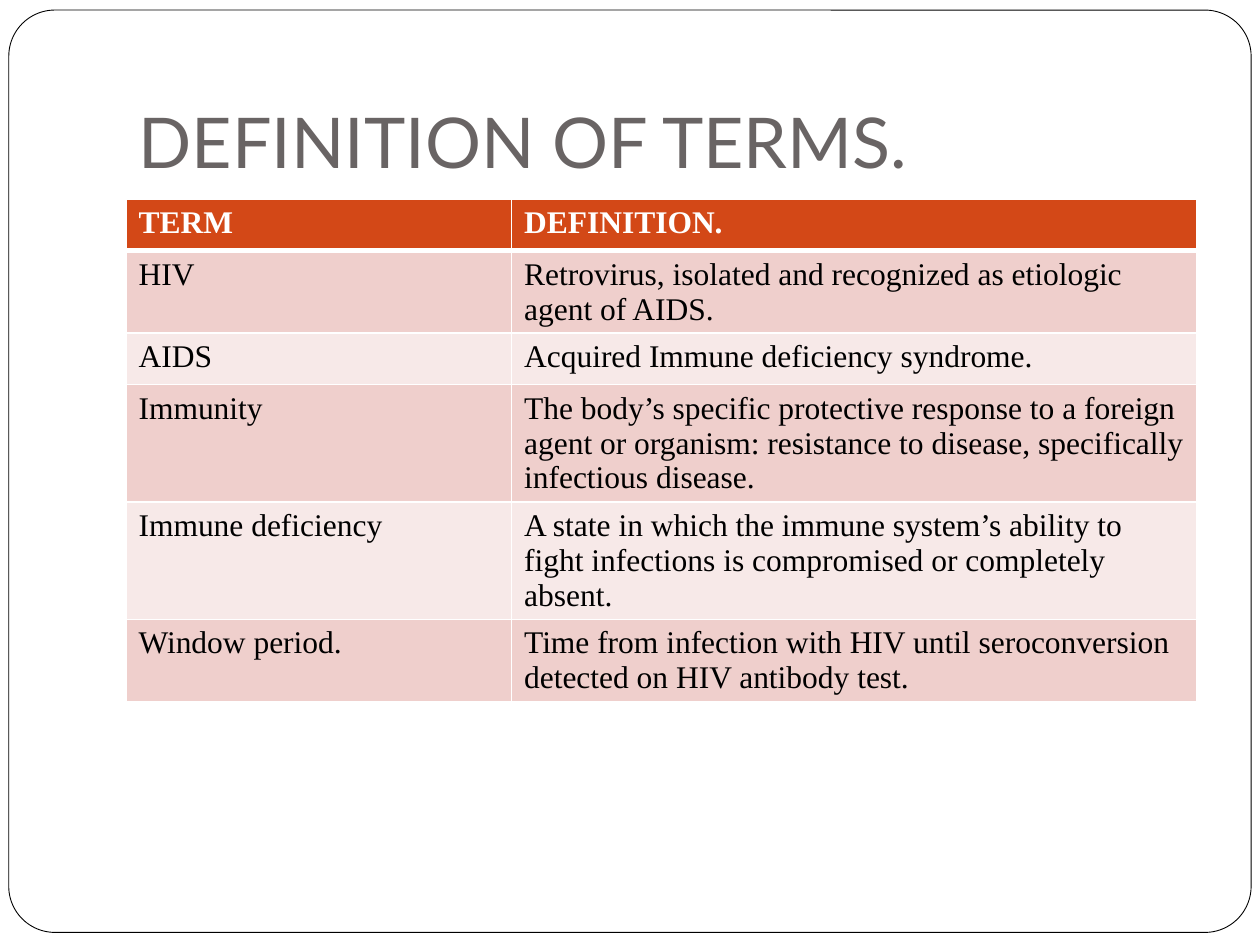
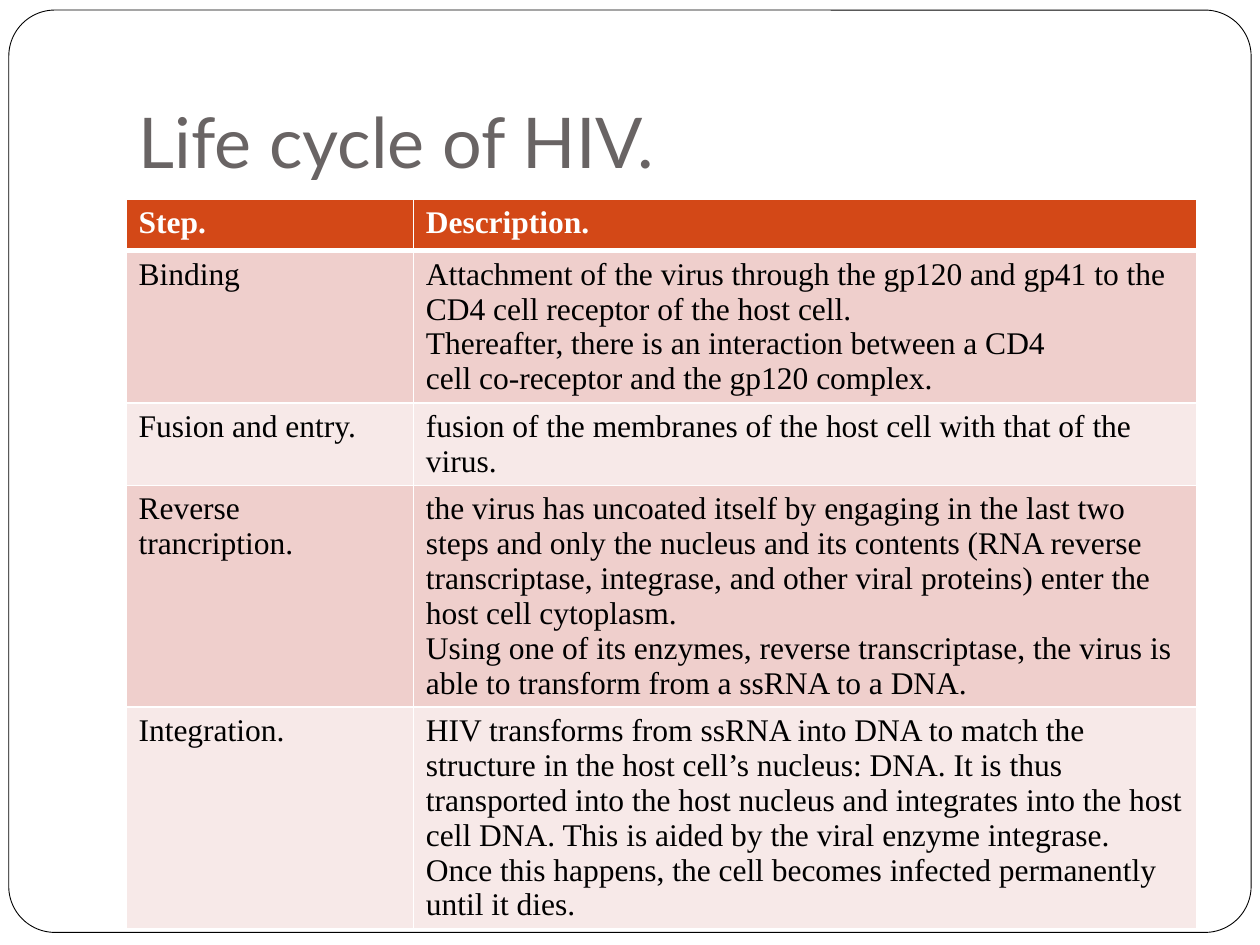
from pptx import Presentation
from pptx.dml.color import RGBColor
from pptx.enum.shapes import MSO_SHAPE
from pptx.enum.text import MSO_ANCHOR, MSO_AUTO_SIZE, PP_ALIGN
from pptx.oxml import parse_xml
from pptx.oxml.ns import nsdecls
from pptx.util import Inches, Pt

# Content: each cell is a text, or a list of paragraphs
SLIDES = [
    {
        "title": "DEFINITION OF TERMS.",
        "split": 3.06,
        "rows": [
            ("TERM", "DEFINITION."),
            ("HIV", "Retrovirus, isolated and recognized as etiologic agent of AIDS."),
            ("AIDS", "Acquired Immune deficiency syndrome."),
            ("Immunity",
             "The body’s specific protective response to a foreign agent or "
             "organism: resistance to disease, specifically infectious disease."),
            ("Immune deficiency",
             "A state in which the immune system’s ability to fight infections "
             "is compromised or completely absent."),
            ("Window period.",
             "Time from infection with HIV until seroconversion detected on "
             "HIV antibody test."),
        ],
    },
    {
        "title": "Life cycle of HIV.",
        "split": 2.28,
        "rows": [
            ("Step.", "Description."),
            ("Binding", [
                "Attachment of the virus through the gp120 and gp41 to the",
                "CD4 cell receptor of the host cell.",
                "Thereafter, there is an interaction between a CD4",
                "cell co-receptor and the gp120 complex."]),
            ("Fusion and entry.",
             "fusion of the membranes of the host cell with that of the virus."),
            ("Reverse trancription.", [
                "the virus has uncoated itself by engaging in the last two steps "
                "and only the nucleus and its contents (RNA reverse transcriptase, "
                "integrase, and other viral proteins) enter the host cell cytoplasm.",
                "Using one of its enzymes, reverse transcriptase, the virus is able "
                "to transform from a ssRNA to a DNA."]),
            ("Integration.",
             "HIV transforms from ssRNA into DNA to match the structure in the "
             "host cell’s nucleus: DNA. It is thus transported into the host "
             "nucleus and integrates into the host cell DNA. This is aided by the "
             "viral enzyme integrase. Once this happens, the cell becomes infected "
             "permanently until it dies."),
        ],
    },
]

# Theme
THEME = {
    "title": {"name": "Lato", "size": Pt(40), "bold": False, "color": "696464"},
    "head": {"name": "Times New Roman", "size": Pt(18), "bold": True, "color": "FFFFFF"},
    "cell": {"name": "Times New Roman", "size": Pt(18), "bold": False, "color": "000000"},
    "paper": "FFFFFF",
    "ink": "000000",
    "band": "D34817",
    "rows": ("EFCFCC", "F7E9E8"),
    "thin": 1,
    "thick": 3,
}
LEFT, WIDTH, TOP, ROW = 1, 8.5, 1.58, 0.41


def rgb(code):
    return RGBColor.from_string(code)


def style(part, look):
    for key, value in look.items():
        if key == "color":
            part.font.color.rgb = rgb(value)
        else:
            setattr(part.font, key, value)


# Shared frame and title place, kept in the layout
def set_layout(layout, slide):
    frame = slide.shapes.add_shape(
        MSO_SHAPE.ROUNDED_RECTANGLE,
        Inches(0.07), Inches(0.08), Inches(9.86), Inches(7.32))
    frame.adjustments[0] = 0.05
    frame.shadow.inherit = False
    frame.fill.solid()
    frame.fill.fore_color.rgb = rgb(THEME["paper"])
    frame.line.color.rgb = rgb(THEME["ink"])
    frame.line.width = Pt(0.5)
    frame.element.nvSpPr.cNvPr.set("id", "50")
    layout.shapes.element.insert(2, frame.element)


def add_title(slide, text):
    title = slide.shapes.title
    place = {"left": LEFT, "top": 0.3, "width": WIDTH, "height": 1.25}
    for key, value in place.items():
        setattr(title, key, Inches(value))
    frame = title.text_frame
    form = {
        "text": text, "word_wrap": True, "auto_size": MSO_AUTO_SIZE.NONE,
        "vertical_anchor": MSO_ANCHOR.BOTTOM,
        "margin_left": Inches(0.1), "margin_right": Inches(0.1),
        "margin_top": Inches(0.05), "margin_bottom": Inches(0.1),
    }
    for key, value in form.items():
        setattr(frame, key, value)
    line = frame.paragraphs[0]
    line.alignment = PP_ALIGN.LEFT
    style(line.runs[0], THEME["title"])


# Table cells: borders go in before the fill
def add_edges(cell, row):
    props = cell._tc.get_or_add_tcPr()
    thin, thick = THEME["thin"], THEME["thick"]
    sides = {"L": thin, "R": thin,
             "T": thick if row == 1 else thin,
             "B": thick if row == 0 else thin}
    for side, width in sides.items():
        props.append(parse_xml(
            f'<a:ln{side} {nsdecls("a")} w="{Pt(width)}"><a:solidFill>'
            f'<a:srgbClr val="{THEME["paper"]}"/></a:solidFill></a:ln{side}>'))


def fill_cell(cell, row, text):
    add_edges(cell, row)
    cell.fill.solid()
    shade = THEME["rows"][(row - 1) % 2] if row else THEME["band"]
    cell.fill.fore_color.rgb = rgb(shade)
    cell.text = text if isinstance(text, str) else "\n".join(text)
    for line in cell.text_frame.paragraphs:
        style(line.runs[0], THEME["cell" if row else "head"])


def add_grid(slide, rows, split):
    grid = slide.shapes.add_table(
        len(rows), 2, Inches(LEFT), Inches(TOP),
        Inches(WIDTH), Inches(ROW * len(rows))).table
    for col, width in zip(grid.columns, (split, WIDTH - split)):
        col.width = Inches(width)
    for row, texts in enumerate(rows):
        for col, text in enumerate(texts):
            fill_cell(grid.cell(row, col), row, text)


def main():
    deck = Presentation()
    deck.slide_width, deck.slide_height = Inches(10), Inches(7.5)
    layout = deck.slide_layouts[5]
    for index, data in enumerate(SLIDES):
        slide = deck.slides.add_slide(layout)
        if index == 0:
            set_layout(layout, slide)
        add_title(slide, data["title"])
        add_grid(slide, data["rows"], data["split"])
    deck.save("out.pptx")


if __name__ == "__main__":
    main()
